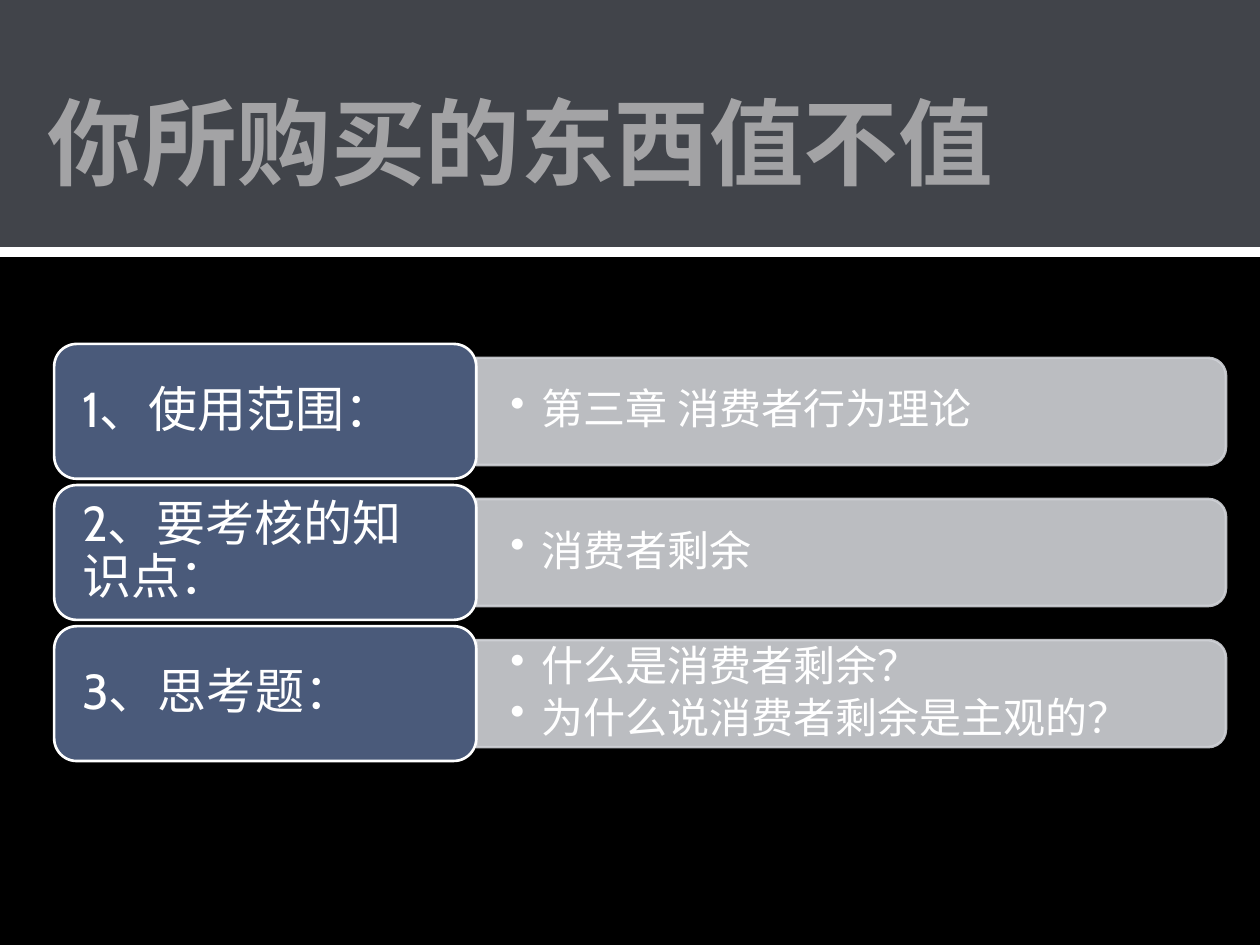
from lxml import etree
from pptx import Presentation
from pptx.dml.color import RGBColor
from pptx.enum.shapes import MSO_CONNECTOR, MSO_SHAPE
from pptx.enum.text import MSO_ANCHOR, MSO_AUTO_SIZE, PP_ALIGN
from pptx.oxml.ns import qn
from pptx.util import Inches, Pt

RECT = MSO_SHAPE.RECTANGLE
ROUND = MSO_SHAPE.ROUNDED_RECTANGLE
TAB = MSO_SHAPE.ROUND_2_SAME_RECTANGLE
MIDDLE, BOTTOM = MSO_ANCHOR.MIDDLE, MSO_ANCHOR.BOTTOM
LEFT = PP_ALIGN.LEFT

BLACK = RGBColor(0x00, 0x00, 0x00)
WHITE = RGBColor(0xFF, 0xFF, 0xFF)
SLATE = RGBColor(0x83, 0x89, 0x95)
BLUE = RGBColor(0x4A, 0x5A, 0x7A)
SILVER = RGBColor(0xD0, 0xD2, 0xD7)
GREY = RGBColor(0xA3, 0xA3, 0xA5)
FONT = "Cabin"

TITLE = "你所购买的东西值不值"
ROWS = [
    ("1、使用范围：", ["第三章 消费者行为理论"]),
    ("2、要考核的知识点：", ["消费者剩余"]),
    ("3、思考题：", ["什么是消费者剩余？", "为什么说消费者剩余是主观的？"]),
]

WIDTH, HEIGHT, HEAD = 10, 7.5, 2
X, TOP, PITCH = 0.43, 2.73, 1.12
LABEL_W, LABEL_H = 3.35, 1.07
BAR_W, BAR_H = 5.95, 0.85
TEXT_W, TEXT_H = 5.91, 0.77


def fade(paint, share):
    """Make a solid fill partly see-through; share is its opacity in percent."""
    color = paint._xPr.find(qn("a:solidFill"))[0]
    etree.SubElement(color, qn("a:alpha")).set("val", str(share * 1000))


def add_box(slide, kind, x, y, w, h, color, edge=None, share=100):
    box = slide.shapes.add_shape(kind, Inches(x), Inches(y), Inches(w), Inches(h))
    box.shadow.inherit = False
    paints = [box.fill]
    if edge is None:
        box.line.fill.background()
    else:
        box.line.width = Pt(1.5)
        paints.append(box.line.fill)
    for paint, tone in zip(paints, (color, edge)):
        paint.solid()
        paint.fore_color.rgb = tone
        if share < 100:
            fade(paint, share)
    return box


def write(frame, lines, size, color=WHITE, bold=False, anchor=MIDDLE,
          pad=(0.1, 0.05), space=1.0, after=0):
    frame.word_wrap = True
    frame.auto_size = MSO_AUTO_SIZE.NONE
    frame.vertical_anchor = anchor
    frame.margin_left = frame.margin_right = Inches(pad[0])
    frame.margin_top = frame.margin_bottom = Inches(pad[1])
    frame.text = "\n".join(lines)
    for para in frame.paragraphs:
        para.alignment = LEFT
        para.line_spacing = space
        para.space_after = Pt(after)
        for run in para.runs:
            font = run.font
            font.name, font.size, font.bold = FONT, Pt(size), bold
            font.color.rgb = color


def add_bullets(frame):
    for para in frame.paragraphs:
        props = para._p.get_or_add_pPr()
        props.set("marL", str(Inches(0.25)))
        props.set("indent", str(-Inches(0.25)))
        etree.SubElement(props, qn("a:buChar")).set("char", "•")


def add_header(slide):
    add_box(slide, RECT, 0, 0, WIDTH, HEAD, SLATE, share=50)
    rule = slide.shapes.add_connector(
        MSO_CONNECTOR.STRAIGHT, 0, Inches(HEAD), Inches(WIDTH), Inches(HEAD))
    rule.line.color.rgb = WHITE
    rule.line.width = Pt(6)
    etree.SubElement(rule._element.spPr, qn("a:effectLst"))

    title = slide.shapes.title
    title.left, title.top = Inches(0.28), Inches(0.44)
    title.width, title.height = Inches(9.23), Inches(1.18)
    write(title.text_frame, [TITLE], 54, GREY, bold=True, anchor=BOTTOM)
    slide.shapes._spTree.append(title._element)  # in front of the header band


def add_row(slide, y, label, points):
    mid = y + LABEL_H / 2
    left = X + LABEL_W
    # The tab is drawn upright around its centre, then turned on its side.
    bar = add_box(slide, TAB, left + (BAR_W - BAR_H) / 2, mid - BAR_W / 2,
                  BAR_H, BAR_W, SILVER, SILVER, share=90)
    bar.rotation = 90
    note = slide.shapes.add_textbox(Inches(left), Inches(mid - TEXT_H / 2),
                                    Inches(TEXT_W), Inches(TEXT_H))
    write(note.text_frame, points, 24, pad=(0.27, 0.14), space=0.9, after=3.6)
    add_bullets(note.text_frame)
    head = add_box(slide, ROUND, X, y, LABEL_W, LABEL_H, BLUE, WHITE)
    write(head.text_frame, [label], 28, pad=(0.17, 0.11), space=0.9)


def main():
    deck = Presentation()
    deck.slide_width, deck.slide_height = Inches(WIDTH), Inches(HEIGHT)
    slide = deck.slides.add_slide(deck.slide_layouts[5])
    slide.background.fill.solid()
    slide.background.fill.fore_color.rgb = BLACK
    add_header(slide)
    for i, (label, points) in enumerate(ROWS):
        add_row(slide, TOP + i * PITCH, label, points)
    deck.save("out.pptx")


if __name__ == "__main__":
    main()
